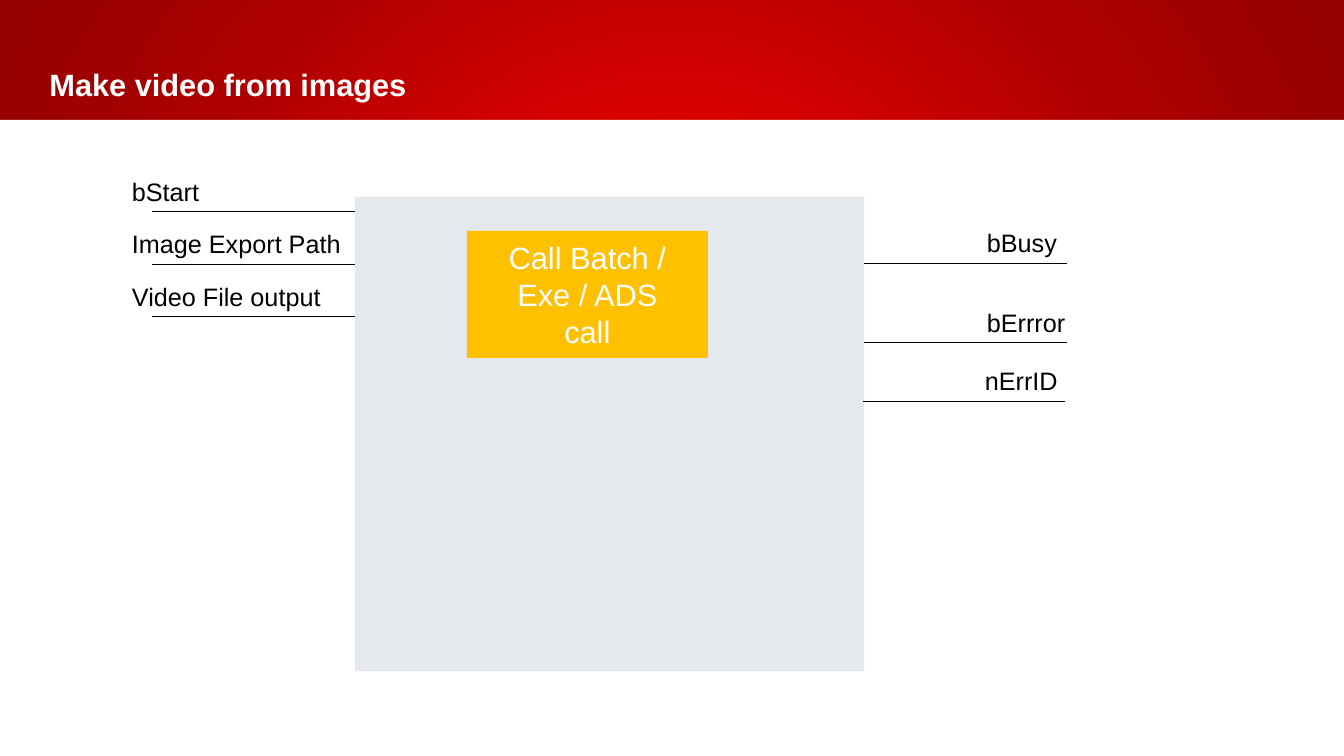
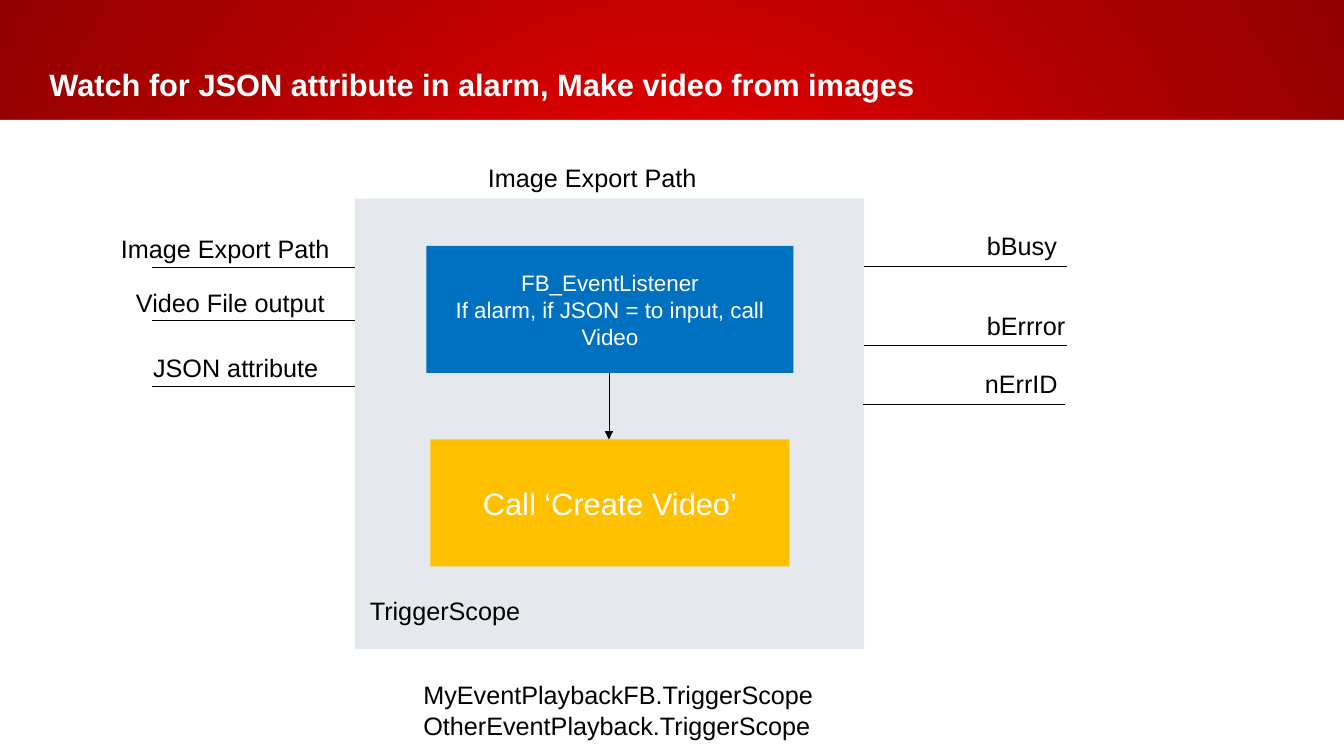
import pptx
import pptx.dml.color
import pptx.enum.shapes
import pptx.enum.text
import pptx.oxml
import pptx.util
from pptx.util import Inches

# Shared look
RED_STOPS = [(0, "EF0000"), (16, "EF0000"), (69, "AC0000"), (100, "920000")]
WHITE, BLACK, PANEL = "FFFFFF", "000000", "E5E8EC"
YELLOW, BLUE = "FFC000", "0070C0"
NAMESPACE = 'xmlns:a="http://schemas.openxmlformats.org/drawingml/2006/main"'
PRESENTATION_NAMESPACE = (
    'xmlns:p="http://schemas.openxmlformats.org/presentationml/2006/main"')
LEFT = pptx.enum.text.PP_ALIGN.LEFT
CENTER = pptx.enum.text.PP_ALIGN.CENTER
TOP = pptx.enum.text.MSO_ANCHOR.TOP
MIDDLE = pptx.enum.text.MSO_ANCHOR.MIDDLE
BOTTOM = pptx.enum.text.MSO_ANCHOR.BOTTOM
RECTANGLE = pptx.enum.shapes.MSO_SHAPE.RECTANGLE
STRAIGHT = pptx.enum.shapes.MSO_CONNECTOR.STRAIGHT

TITLE_STYLE = {"size": 22, "color": WHITE, "bold": True, "align": LEFT,
               "anchor": BOTTOM, "insets": (0.49, 0.16, 0.1, 0.16)}
LABEL_STYLE = {"size": 18, "color": BLACK, "bold": False, "align": LEFT,
               "anchor": TOP, "insets": (0.1, 0.05, 0.1, 0.05)}
BOX_STYLE = {"size": 22, "color": WHITE, "bold": False, "align": CENTER,
             "anchor": MIDDLE, "insets": (0.26, 0.05, 0.26, 0.05)}
SMALL_BOX_STYLE = {**BOX_STYLE, "size": 16}


def rgb(color):
    return pptx.dml.color.RGBColor.from_string(color)


def write_text(shape, text, style):
    frame = shape.text_frame
    frame.text = text
    frame.word_wrap = True
    frame.auto_size = pptx.enum.text.MSO_AUTO_SIZE.NONE
    frame.vertical_anchor = style["anchor"]
    for side, inset in zip(("left", "top", "right", "bottom"), style["insets"]):
        setattr(frame, f"margin_{side}", Inches(inset))
    font_values = {"name": "Arial", "size": pptx.util.Pt(style["size"]),
                   "bold": style["bold"]}
    for paragraph in frame.paragraphs:
        paragraph.alignment = style["align"]
        for run in paragraph.runs:
            for name, value in font_values.items():
                setattr(run.font, name, value)
            run.font.color.rgb = rgb(style["color"])


# Slide content: boxes are (left, top, width, height, fill, text, style),
# labels are (left, top, width, text), lines are (x1, y1, x2, y2, has arrowhead)
INPUT_LINE, OUTPUT_LINE = (1.51, 3.52), (8.57, 10.58)
OUTPUTS = [("bBusy", 9.69, 2.21, OUTPUT_LINE),
           ("bErrror", 9.69, 3.0, OUTPUT_LINE),
           ("nErrID", 9.67, 3.58, (8.56, 10.56))]
LABEL_HEIGHT = 0.4

diagrams = [
    {
        "title": "Make video from images",
        "boxes": [
            (3.52, 1.95, 5.05, 4.71, PANEL, "", BOX_STYLE),
            (4.63, 2.29, 2.39, 1.26, YELLOW, "Call Batch / Exe / ADS call", BOX_STYLE),
        ],
        "inputs": [("bStart", 1.21, 1.7), ("Image Export Path", 1.21, 2.22),
                   ("Video File output", 1.21, 2.74)],
        "input_gap": 0.4,
        "output_shift": 0,
        "labels": [],
        "arrows": [],
    },
    {
        "title": "Watch for JSON attribute in alarm, Make video from images",
        "boxes": [
            (3.52, 1.97, 5.05, 4.47, PANEL, "", BOX_STYLE),
            (4.27, 4.36, 3.56, 1.26, YELLOW, "Call ‘Create Video’", BOX_STYLE),
            (4.23, 2.44, 3.64, 1.26, BLUE,
             "FB_EventListener\nIf alarm, if JSON = to input, call Video",
             SMALL_BOX_STYLE),
        ],
        "inputs": [("Image Export Path", 1.1, 2.27), ("Video File output", 1.25, 2.8),
                   ("JSON attribute", 1.42, 3.45)],
        "input_gap": 0.38,
        "output_shift": 0.03,
        "labels": [
            (4.74, 1.56, 2.61, "Image Export Path"),
            (3.57, 5.86, 1.97, "TriggerScope"),
            (4.1, 6.69, 4.19, "MyEventPlaybackFB.TriggerScope"),
            (4.1, 7.0, 4.19, "OtherEventPlayback.TriggerScope"),
        ],
        "arrows": [(6.04, 3.7, 6.04, 4.36, True)],
    },
]

presentation = pptx.Presentation()
presentation.slide_width = Inches(13.33)
presentation.slide_height = Inches(7.5)
layout = presentation.slide_layouts.get_by_name("Title Only")

# Red radial background, held by the layout
stops = "".join(f'<a:gs pos="{position * 1000}"><a:srgbClr val="{color}"/></a:gs>'
                for position, color in RED_STOPS)
background = pptx.oxml.parse_xml(
    f'<p:bg {PRESENTATION_NAMESPACE} {NAMESPACE}><p:bgPr>'
    f'<a:gradFill rotWithShape="1"><a:gsLst>{stops}</a:gsLst><a:path path="circle">'
    '<a:fillToRect l="50000" t="50000" r="50000" b="50000"/></a:path></a:gradFill>'
    '<a:effectLst/></p:bgPr></p:bg>')
layout.element.cSld.insert(0, background)

for number, diagram in enumerate(diagrams):
    slide = presentation.slides.add_slide(layout)

    # Title
    title = slide.shapes.title
    for name, value in {"left": 0, "top": 0.49, "width": 11.09, "height": 0.69}.items():
        setattr(title, name, Inches(value))
    write_text(title, diagram["title"], TITLE_STYLE)

    # White content area, moved once to the layout, then the boxes
    content_area = (0, 1.19, 13.33, 6.31, WHITE, "", BOX_STYLE)
    boxes = diagram["boxes"] if number else [content_area] + diagram["boxes"]
    for box in boxes:
        left, top, width, height, fill, text, style = box
        shape = slide.shapes.add_shape(
            RECTANGLE, Inches(left), Inches(top), Inches(width), Inches(height))
        shape.shadow.inherit = False
        shape.fill.solid()
        shape.fill.fore_color.rgb = rgb(fill)
        shape.line.fill.background()
        if text:
            write_text(shape, text, style)
        if box is content_area:
            layout.shapes.element.insert(2, shape.element)

    # Inputs and outputs: a label above each line
    labels = list(diagram["labels"])
    lines = list(diagram["arrows"])
    for text, left, top in diagram["inputs"]:
        labels.append((left, top, 2.61, text))
        line_top = top + diagram["input_gap"]
        lines.append((INPUT_LINE[0], line_top, INPUT_LINE[1], line_top, False))
    for text, left, top, (start, end) in OUTPUTS:
        top += diagram["output_shift"]
        labels.append((left, top, 1.07, text))
        line_top = top + LABEL_HEIGHT
        lines.append((start, line_top, end, line_top, False))

    for left, top, width, text in labels:
        label = slide.shapes.add_textbox(
            Inches(left), Inches(top), Inches(width), Inches(LABEL_HEIGHT))
        write_text(label, text, LABEL_STYLE)

    for start_x, start_y, end_x, end_y, has_arrowhead in lines:
        connector = slide.shapes.add_connector(
            STRAIGHT, Inches(start_x), Inches(start_y), Inches(end_x), Inches(end_y))
        connector.line.color.rgb = rgb(BLACK)
        connector.line.width = pptx.util.Pt(0.5)
        if has_arrowhead:
            connector.line.fill  # the line element exists from here on
            connector.element.spPr.find(pptx.oxml.ns.qn("a:ln")).append(
                pptx.oxml.parse_xml(f'<a:tailEnd {NAMESPACE} type="triangle"/>'))
        connector.element.spPr.append(
            pptx.oxml.parse_xml(f"<a:effectLst {NAMESPACE}/>"))

presentation.save("out.pptx")
